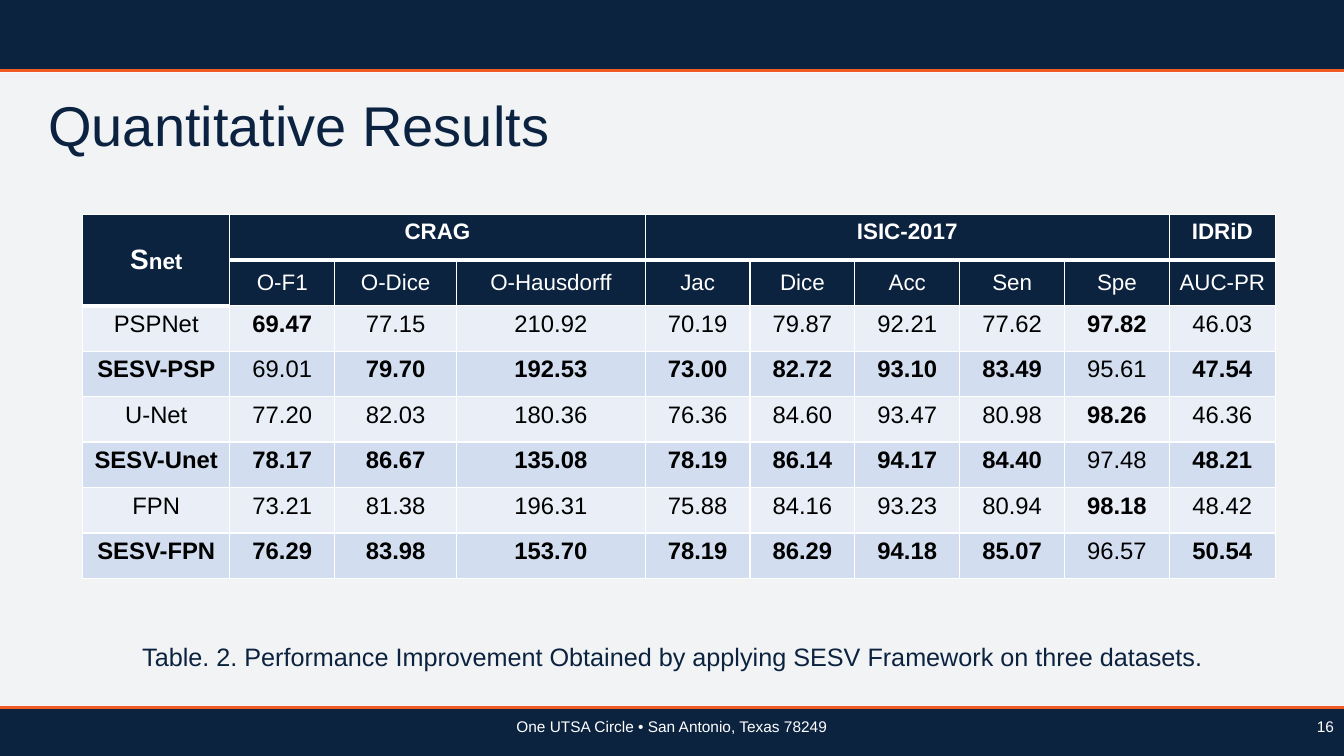
import pptx
import pptx.util
import pptx.dml.color
import pptx.enum.shapes
import pptx.enum.text
import pptx.oxml
import pptx.oxml.ns

Inches = pptx.util.Inches
ALIGN = pptx.enum.text.PP_ALIGN
ANCHOR = pptx.enum.text.MSO_ANCHOR
AUTO_SIZE = pptx.enum.text.MSO_AUTO_SIZE
NS = pptx.oxml.ns.nsdecls("a")
COLORS = {
    "navy": "0C2340", "title": "0B2340", "orange": "F15A22", "white": "FFFFFF",
    "black": "000000", "plain": "EAEFF7", "band": "D2DEEF",
}
SLIDE_W, SLIDE_H = 13.33, 7.5

DATASETS = {
    "CRAG": ["O-F1", "O-Dice", "O-Hausdorff"],
    "ISIC-2017": ["Jac", "Dice", "Acc", "Sen", "Spe"],
    "IDRiD": ["AUC-PR"],
}
METRICS = [metric for metrics in DATASETS.values() for metric in metrics]
LOWER_IS_BETTER = {"O-Hausdorff"}
COLUMN_WIDTHS = [1.46, 1.04, 1.21, 1.87, 1.04, 1.04, 1.04, 1.04, 1.04, 1.05]
NETWORK_PAIRS = [
    (("PSPNet", [69.47, 77.15, 210.92, 70.19, 79.87, 92.21, 77.62, 97.82, 46.03]),
     ("SESV-PSP", [69.01, 79.70, 192.53, 73.00, 82.72, 93.10, 83.49, 95.61, 47.54])),
    (("U-Net", [77.20, 82.03, 180.36, 76.36, 84.60, 93.47, 80.98, 98.26, 46.36]),
     ("SESV-Unet", [78.17, 86.67, 135.08, 78.19, 86.14, 94.17, 84.40, 97.48, 48.21])),
    (("FPN", [73.21, 81.38, 196.31, 75.88, 84.16, 93.23, 80.94, 98.18, 48.42]),
     ("SESV-FPN", [76.29, 83.98, 153.70, 78.19, 86.29, 94.18, 85.07, 96.57, 50.54])),
]


def rgb(name):
    return pptx.dml.color.RGBColor.from_string(COLORS[name])


def apply(target, values):
    for key, value in values.items():
        setattr(target, key, value)


def add_run(paragraph, text, size, color, bold=False):
    run = paragraph.add_run()
    run.text = text
    apply(run.font, {"name": "Arial", "size": pptx.util.Pt(size), "bold": bold})
    run.font.color.rgb = rgb(color)


def add_text(slide, box, text, size, color, frame_format, paragraph_format):
    frame = slide.shapes.add_textbox(*map(Inches, box)).text_frame
    apply(frame, {"word_wrap": True, **frame_format})
    apply(frame.paragraphs[0], paragraph_format)
    add_run(frame.paragraphs[0], text, size, color)


def add_panel(slide, box, alpha=None):
    panel = slide.shapes.add_shape(
        pptx.enum.shapes.MSO_SHAPE.RECTANGLE, *map(Inches, box))
    panel.shadow.inherit = False
    panel.fill.solid()
    panel.fill.fore_color.rgb = rgb("navy")
    panel.line.fill.background()
    if alpha:
        color = panel.fill._xPr.find(".//" + pptx.oxml.ns.qn("a:srgbClr"))
        color.append(pptx.oxml.parse_xml(f'<a:alpha {NS} val="{alpha * 1000}"/>'))


def add_rule(slide, y):
    rule = slide.shapes.add_connector(
        pptx.enum.shapes.MSO_CONNECTOR.STRAIGHT,
        0, Inches(y), Inches(SLIDE_W), Inches(y))
    rule.line.color.rgb = rgb("orange")
    rule.line.width = pptx.util.Pt(2)
    rule._element.spPr.append(pptx.oxml.parse_xml(f"<a:effectLst {NS}/>"))


def add_frame(slide, width, height):
    add_panel(slide, (0, 0.72, width, 6.29), alpha=5)
    add_panel(slide, (0, height - 0.47, width, 0.47))
    add_panel(slide, (0, 0, width, 0.69))
    for y in (0.7, height - 0.48):
        add_rule(slide, y)


def add_footer(slide, box, address, number):
    left, top, width, height = box
    add_text(slide, (left + 0.38, top, width - 0.76, height), address, 11, "white",
             {}, {"alignment": ALIGN.CENTER, "line_spacing": 0.9})
    add_text(slide, box, number, 11, "white",
             {}, {"alignment": ALIGN.RIGHT, "line_spacing": 0.9})


def style_cell(cell, fill, anchor=ANCHOR.TOP, top=1, bottom=1):
    properties = cell._tc.get_or_add_tcPr()
    for side, width in {"L": 1, "R": 1, "T": top, "B": bottom}.items():
        properties.append(pptx.oxml.parse_xml(
            f'<a:ln{side} {NS} w="{width * 12700}"><a:solidFill>'
            f'<a:srgbClr val="{COLORS["white"]}"/></a:solidFill></a:ln{side}>'))
    cell.fill.solid()
    cell.fill.fore_color.rgb = rgb(fill)
    cell.vertical_anchor = anchor
    paragraph = cell.text_frame.paragraphs[0]
    paragraph.alignment = ALIGN.CENTER
    return paragraph


def fill_header(table):
    corner = style_cell(table.cell(0, 0), "navy", ANCHOR.MIDDLE, bottom=3)
    add_run(corner, "S", 20, "white", True)
    add_run(corner, "net", 16, "white", True)
    style_cell(table.cell(1, 0), "navy", bottom=3)
    table.cell(0, 0).merge(table.cell(1, 0))
    column = 1
    for dataset, metrics in DATASETS.items():
        last = column + len(metrics) - 1
        if last > column:
            table.cell(0, column).merge(table.cell(0, last))
        for offset, metric in enumerate(metrics):
            group = style_cell(table.cell(0, column + offset), "navy", bottom=3)
            if offset == 0:
                add_run(group, dataset, 16, "white", True)
            label = style_cell(table.cell(1, column + offset), "navy",
                               ANCHOR.MIDDLE, top=3)
            add_run(label, metric, 16, "white")
        column = last + 1


def fill_network(table, row, name, scores, rivals, improved):
    fill = "band" if improved else "plain"
    label = style_cell(table.cell(row, 0), fill, top=3 if row == 2 else 1)
    add_run(label, name, 17, "black", improved)
    for column, (metric, score, rival) in enumerate(zip(METRICS, scores, rivals), 1):
        best = score < rival if metric in LOWER_IS_BETTER else score > rival
        value = style_cell(table.cell(row, column), fill)
        add_run(value, f"{score:.2f}", 17, "black", best)


def add_results(slide, box):
    row_count = 2 + 2 * len(NETWORK_PAIRS)
    table = slide.shapes.add_table(
        row_count, len(COLUMN_WIDTHS), *map(Inches, box)).table
    for column, width in zip(table.columns, COLUMN_WIDTHS):
        column.width = Inches(width)
    for row in table.rows:
        row.height = Inches(box[3] / row_count)
    fill_header(table)
    for index, (baseline, sesv) in enumerate(NETWORK_PAIRS):
        row = 2 + 2 * index
        fill_network(table, row, *baseline, sesv[1], False)
        fill_network(table, row + 1, *sesv, baseline[1], True)


def build_results_slide(deck):
    slide = deck.slides.add_slide(deck.slide_layouts[6])
    slide.background.fill.solid()
    slide.background.fill.fore_color.rgb = rgb("white")
    add_frame(slide, SLIDE_W, SLIDE_H)
    add_text(slide, (0.38, 0.85, 5.22, 0.77), "Quantitative Results", 40, "title",
             {"word_wrap": False, "auto_size": AUTO_SIZE.SHAPE_TO_FIT_TEXT},
             {"alignment": ALIGN.LEFT})
    add_results(slide, (0.82, 2.13, sum(COLUMN_WIDTHS), 3.61))
    add_text(slide, (1.07, 6.31, 11.2, 0.4),
             "Table. 2. Performance Improvement Obtained by applying "
             "SESV Framework on three datasets.", 18, "navy",
             {"auto_size": AUTO_SIZE.SHAPE_TO_FIT_TEXT}, {"alignment": ALIGN.CENTER})
    add_footer(slide, (0, 7.09, SLIDE_W, 0.41),
               "One UTSA Circle • San Antonio, Texas 78249", "16")


def main():
    deck = pptx.Presentation()
    apply(deck, {"slide_width": Inches(SLIDE_W), "slide_height": Inches(SLIDE_H)})
    build_results_slide(deck)
    deck.save("out.pptx")


if __name__ == "__main__":
    main()
